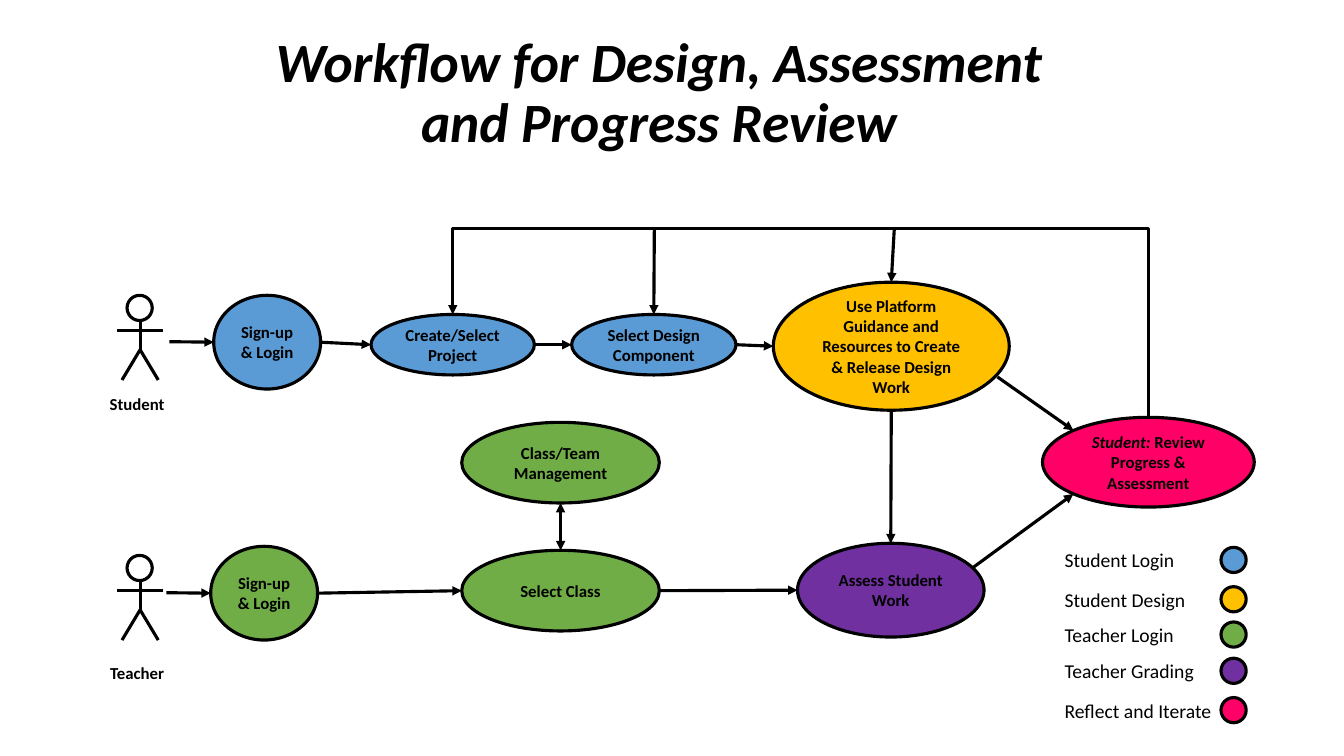
import pptx
import pptx.util
import pptx.dml.color
import pptx.enum.shapes
import pptx.enum.text
import pptx.oxml
import pptx.oxml.ns
from pptx.util import Inches

COLOURS = {
    "student login": "5B9BD5",
    "student design": "FFC000",
    "teacher login": "70AD47",
    "teacher grading": "7030A0",
    "reflect": "FF0066",
    "ink": "000000",
    "paper": "FFFFFF",
}
LEGEND = [
    ("Student Login", "student login", 5.43),
    ("Student Design", "student design", 5.82),
    ("Teacher Login", "teacher login", 6.17),
    ("Teacher Grading", "teacher grading", 6.53),
    ("Reflect and Iterate", "reflect", 6.92),
]
TOP, LEFT, BOTTOM, RIGHT = (0.5, 0), (0, 0.5), (0.5, 1), (1, 0.5)
UPPER_LEFT, LOWER_LEFT = (0.146, 0.146), (0.146, 0.854)
CENTRE = pptx.enum.text.PP_ALIGN.CENTER
CONNECTOR = pptx.enum.shapes.MSO_CONNECTOR


def colour(name):
    return pptx.dml.color.RGBColor.from_string(COLOURS[name])


def spot(shape, place):
    """Point in inches at a fractional (across, down) place of a shape's frame."""
    across, down = place
    return (pptx.util.Emu(shape.left + int(across * shape.width)).inches,
            pptx.util.Emu(shape.top + int(down * shape.height)).inches)


class WorkflowPage:
    """Draws the elements of the workflow in one style."""

    def __init__(self, page):
        self.page = page
        self.font = "Calibri"
        self.line_width = pptx.util.Pt(2.25)

    def format_text(self, para, size, bold=False, align=None):
        para.alignment = align
        para.font.name = self.font
        para.font.size = pptx.util.Pt(size)
        para.font.bold = bold
        para.font.color.rgb = colour("ink")

    def format_line(self, line):
        line.color.rgb = colour("ink")
        line.width = self.line_width

    def title(self, text):
        box = self.page.shapes.title
        box.left, box.top = Inches(1.04), Inches(0.38)
        box.width, box.height = Inches(10.99), Inches(1.11)
        frame = box.text_frame
        frame.text = text
        frame.auto_size = pptx.enum.text.MSO_AUTO_SIZE.NONE
        frame.vertical_anchor = pptx.enum.text.MSO_ANCHOR.MIDDLE
        para = frame.paragraphs[0]
        para.line_spacing = 0.9
        self.format_text(para, 39.6, True, CENTRE)
        para.font.italic = True

    def label(self, text, left, top, width, height, size, bold=False, align=None):
        box = self.page.shapes.add_textbox(
            Inches(left), Inches(top), Inches(width), Inches(height))
        box.text_frame.word_wrap = True
        box.text_frame.text = text
        self.format_text(box.text_frame.paragraphs[0], size, bold, align)

    def ellipse(self, fill, left, top, width, height, text="", lead="", shapes=None):
        """Add an ellipse; lead is italic wording before the text."""
        shape = (shapes or self.page.shapes).add_shape(
            pptx.enum.shapes.MSO_SHAPE.OVAL,
            Inches(left), Inches(top), Inches(width), Inches(height))
        shape.shadow.inherit = False
        shape.fill.solid()
        shape.fill.fore_color.rgb = colour(fill)
        self.format_line(shape.line)
        if text:
            frame = shape.text_frame
            frame.word_wrap = True
            frame.vertical_anchor = pptx.enum.text.MSO_ANCHOR.MIDDLE
            para = frame.paragraphs[0]
            if lead:
                span = para.add_run()
                span.text = lead
                span.font.italic = True
            para.add_run().text = text
            self.format_text(para, 12, True, CENTRE)
        return shape

    def line(self, start, end, heads=(), kind=CONNECTOR.STRAIGHT, shapes=None):
        """Join two points; heads names the ends that get an arrowhead."""
        points = [Inches(value) for value in (*start, *end)]
        connector = (shapes or self.page.shapes).add_connector(kind, *points)
        self.format_line(connector.line)
        outline = connector.line._get_or_add_ln()
        for head in heads:
            outline.append(pptx.oxml.parse_xml(
                f'<a:{head} {pptx.oxml.ns.nsdecls("a")} type="triangle"/>'))
        connector._element.spPr.append(pptx.oxml.parse_xml(
            f'<a:effectLst {pptx.oxml.ns.nsdecls("a")}/>'))
        return connector

    def arrow(self, start, end, heads=("tailEnd",)):
        return self.line(start, end, heads)

    def link(self, source, source_place, target, target_place, heads=("tailEnd",)):
        self.arrow(spot(source, source_place), spot(target, target_place), heads)

    def feedback_loop(self):
        """Elbow from the review up and over to the project, turned a quarter left."""
        loop = self.line((7.43, 7.08), (8.45, 0.18), ("tailEnd",), CONNECTOR.ELBOW)
        properties = loop._element.spPr
        properties.find(pptx.oxml.ns.qn("a:xfrm")).set("rot", "16200000")
        geometry = properties.find(pptx.oxml.ns.qn("a:prstGeom"))
        for old in list(geometry):
            geometry.remove(old)
        geometry.append(pptx.oxml.parse_xml(
            f'<a:avLst {pptx.oxml.ns.nsdecls("a")}>'
            '<a:gd name="adj1" fmla="val 183300"/></a:avLst>'))

    def actor(self, name, top, label_top):
        shapes = self.page.shapes.add_group_shape().shapes
        hip = (1.39, top + 0.54)
        limbs = [
            ((1.39, top + 0.2), hip),
            ((1.62, top + 0.35), (1.16, top + 0.35)),
            (hip, (1.21, top + 0.84)),
            (hip, (1.57, top + 0.84)),
        ]
        for start, end in limbs:
            self.line(start, end, shapes=shapes)
        self.ellipse("paper", 1.26, top, 0.25, 0.25, shapes=shapes)
        self.label(name, 0.81, label_top, 1.1, 0.3, 12, True, CENTRE)

    def legend(self):
        for text, fill, top in LEGEND:
            self.ellipse(fill, 12.11, top, 0.25, 0.25)
            self.label(text, 10.46, top - 0.04, 1.76, 0.34, 14)


def main():
    deck = pptx.Presentation()
    deck.slide_width, deck.slide_height = Inches(13.33), Inches(7.5)
    page = WorkflowPage(deck.slides.add_slide(deck.slide_layouts[5]))
    page.title("Workflow for Design, Assessment\vand Progress Review")
    page.actor("Student", 2.93, 3.86)
    page.actor("Teacher", 5.51, 6.53)

    student = page.ellipse("student login", 2.12, 2.93, 1.06, 0.93, "Sign-up & Login")
    project = page.ellipse("student login", 3.68, 3.12, 1.62, 0.6, "Create/Select Project")
    component = page.ellipse("student login", 5.67, 3.12, 1.63, 0.6,
                             "Select Design Component")
    design = page.ellipse(
        "student design", 7.67, 2.8, 2.34, 1.27,
        "Use Platform Guidance and Resources to Create & Release Design Work")
    teacher = page.ellipse("teacher login", 2.09, 5.42, 1.06, 0.93, "Sign-up & Login")
    classes = page.ellipse("teacher login", 4.58, 5.46, 1.96, 0.8, "Select Class")
    team = page.ellipse("teacher login", 4.58, 4.19, 1.96, 0.8, "Class/Team Management")
    assess = page.ellipse("teacher grading", 7.91, 5.39, 1.85, 0.93, "Assess Student Work")
    review = page.ellipse("reflect", 10.34, 4.14, 2.1, 0.89,
                          " Review Progress & Assessment", lead="Student:")

    page.arrow((1.68, 3.39), spot(student, LEFT))
    page.arrow((1.65, 5.88), spot(teacher, LEFT))
    for row in ((student, project, component, design), (teacher, classes, assess)):
        for source, target in zip(row, row[1:]):
            page.link(source, RIGHT, target, LEFT)
    page.link(design, BOTTOM, assess, TOP)
    page.link(team, BOTTOM, classes, TOP, ("headEnd", "tailEnd"))
    page.link(design, (0.95, 0.74), review, UPPER_LEFT)
    page.link(assess, (0.94, 0.26), review, LOWER_LEFT)
    page.feedback_loop()
    page.arrow((6.49, 2.27), spot(component, TOP))
    page.arrow((8.87, 2.27), spot(design, TOP))
    page.legend()
    deck.save("out.pptx")


if __name__ == "__main__":
    main()
